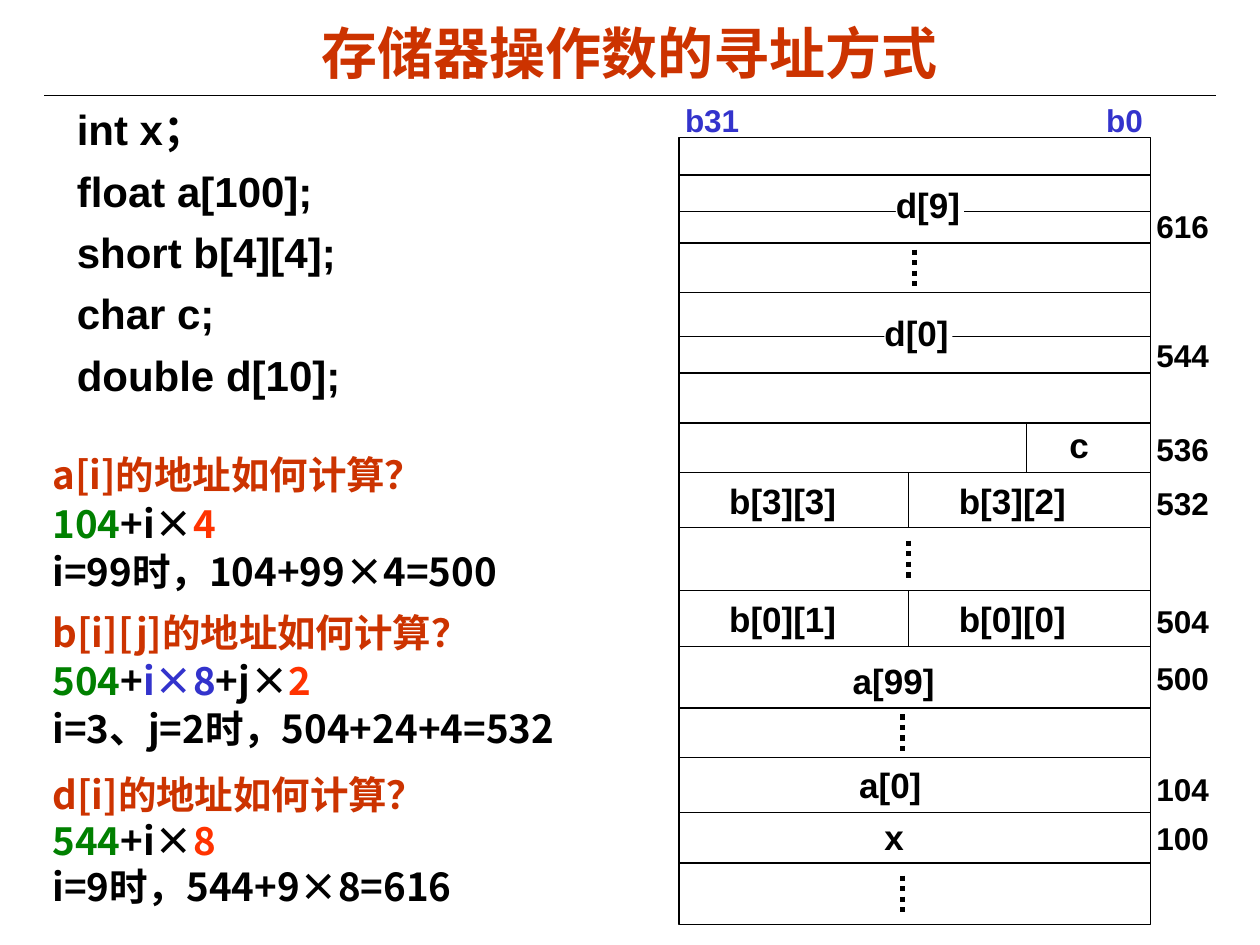
"""Build the slide on addressing modes of memory operands."""
from lxml.etree import SubElement
from pptx import Presentation
from pptx.dml.color import RGBColor
from pptx.enum.dml import MSO_LINE_DASH_STYLE as Dash
from pptx.enum.shapes import MSO_CONNECTOR as Link, MSO_SHAPE as Preset
from pptx.enum.text import MSO_ANCHOR as Anchor, PP_ALIGN as Align
from pptx.oxml.ns import qn
from pptx.util import Cm, Pt

BLACK = RGBColor(0x00, 0x00, 0x00)
WHITE = RGBColor(0xFF, 0xFF, 0xFF)
RUST = RGBColor(0xCC, 0x33, 0x00)
GREEN = RGBColor(0x00, 0x80, 0x00)
RED = RGBColor(0xFF, 0x33, 0x00)
BLUE = RGBColor(0x33, 0x33, 0xCC)
CJK = "Noto Sans CJK SC"

prs = Presentation()
prs.slide_width, prs.slide_height = Cm(25.4), Cm(19.05)
slide = prs.slides.add_slide(prs.slide_layouts[6])
shapes = slide.shapes


def write(text, left, top, width, height=1.12, size=20, color=BLACK, font="Arial",
          align=Align.LEFT, anchor=Anchor.TOP, side=0.25, fill=None, line=None,
          before=(), right_tab=None):
    """Place text, given as a string or as paragraphs of (text, color) runs."""
    area = Cm(left), Cm(top), Cm(width), Cm(height)
    if fill is None:
        box = shapes.add_textbox(*area)
    else:
        box = shapes.add_shape(Preset.RECTANGLE, *area)
        box.shadow.inherit = False
        box.fill.solid()
        box.fill.fore_color.rgb = fill
        box.line.fill.background()
    frame = box.text_frame
    frame.word_wrap = True
    frame.vertical_anchor = anchor
    frame.margin_left = frame.margin_right = Cm(side)
    frame.margin_top = frame.margin_bottom = Cm(0.13)
    paragraphs = [[(text, color)]] if isinstance(text, str) else text
    for index, runs in enumerate(paragraphs):
        paragraph = frame.paragraphs[0] if index == 0 else frame.add_paragraph()
        paragraph.alignment = align
        if line:
            paragraph.line_spacing = Pt(line)
        if index and before:
            paragraph.space_before = Pt(before[index])
        if right_tab:
            tabs = SubElement(paragraph._p.get_or_add_pPr(), qn("a:tabLst"))
            SubElement(tabs, qn("a:tab"), pos=str(Cm(right_tab)), algn="r")
        for words, tint in runs:
            run = paragraph.add_run()
            run.text = words
            run.font.size, run.font.bold, run.font.name = Pt(size), True, font
            run.font.color.rgb = tint
            SubElement(run._r.get_or_add_rPr(), qn("a:ea"), typeface=CJK)


def rule(x1, y1, x2, y2, width=0.75, dash=None):
    """Draw a straight black line."""
    link = shapes.add_connector(Link.STRAIGHT, Cm(x1), Cm(y1), Cm(x2), Cm(y2))
    link.line.color.rgb = BLACK
    link.line.width = Pt(width)
    if dash:
        link.line.dash_style = dash
    SubElement(link._element.spPr, qn("a:effectLst"))


rule(0.89, 1.93, 24.51, 1.93)
write("存储器操作数的寻址方式", 1.27, 0.28, 22.86, 1.55, size=32, color=RUST,
      align=Align.CENTER, anchor=Anchor.MIDDLE)

declarations = ["int x；", "float a[100];", "short b[4][4];", "char c;", "double d[10];"]
write([[(code, BLACK)] for code in declarations], 1.3, 1.96, 8.64, 6.32,
      size=24, line=29, before=[6] * 5)

calculations = [
    [("a[i]的地址如何计算？", RUST)],
    [("104", GREEN), ("+i×", BLACK), ("4", RED)],
    [("i=99时，104+99×4=500", BLACK)],
    [("b[i][j]的地址如何计算？", RUST)],
    [("504", GREEN), ("+", BLACK), ("i×8", BLUE), ("+j×", BLACK), ("2", RED)],
    [("i=3、j=2时，504+24+4=532", BLACK)],
    [("d[i]的地址如何计算？", RUST)],
    [("544", GREEN), ("+i×", BLACK), ("8", RED)],
    [("i=9时，544+9×8=616", BLACK)],
]
write(calculations, 0.81, 8.97, 11.89, 9.45, size=22, font=CJK, line=26.3,
      before=[0, 1.4, 1.4, 8.2, 1.4, 1.4, 11, 0, 0])

MEM_LEFT, MEM_RIGHT, MEM_TOP, MEM_BOTTOM = 13.69, 23.19, 2.77, 18.64
memory = shapes.add_shape(Preset.RECTANGLE, Cm(MEM_LEFT), Cm(MEM_TOP),
                          Cm(MEM_RIGHT - MEM_LEFT), Cm(MEM_BOTTOM - MEM_TOP))
memory.shadow.inherit = False
memory.fill.solid()
memory.fill.fore_color.rgb = WHITE
memory.line.color.rgb = BLACK
memory.line.width = Pt(0.75)
write("b31\tb0", 13.56, 1.91, 10.13, 1.02, size=18, color=BLUE, right_tab=9.23)

for row_y in [3.53, 4.27, 4.9, 5.89, 6.78, 7.52, 8.53, 9.53,
              10.64, 11.91, 13.03, 14.27, 15.27, 16.38, 17.4]:
    rule(MEM_LEFT, row_y, MEM_RIGHT, row_y)
for split_x, split_top, split_bottom in [(20.7, 8.53, 9.53), (18.31, 9.53, 10.64),
                                         (18.31, 11.91, 13.03)]:
    rule(split_x, split_top, split_x, split_bottom)
for dots_x, dots_y in [(18.44, 5.03), (18.31, 10.9), (18.19, 14.4), (18.19, 17.65)]:
    rule(dots_x, dots_y, dots_x, dots_y + 0.75, width=3, dash=Dash.ROUND_DOT)

for cell, left, top, width in [
    ("c", 21.31, 8.41, 1.12),
    ("b[3][3]", 14.45, 9.53, 3.12), ("b[3][2]", 19.08, 9.53, 3.12),
    ("b[0][1]", 14.45, 11.91, 3.12), ("b[0][0]", 19.08, 11.91, 3.12),
    ("a[99]", 16.94, 13.16, 2.26), ("a[0]", 17.07, 15.27, 2.26),
    ("x", 17.58, 16.31, 1.12),
]:
    write(cell, left, top, width)
for cell, left, top in [("d[9]", 18.06, 3.56), ("d[0]", 17.83, 6.15)]:
    write(cell, left, top, 1.37, 1.1, side=0, fill=WHITE)

for address, top in [("616", 4.04), ("544", 6.65), ("536", 8.53), ("532", 9.63),
                     ("504", 12.01), ("500", 13.16), ("104", 15.39), ("100", 16.38)]:
    write(address, 23.06, top, 1.63, 1.02, size=18)

prs.save("out.pptx")
